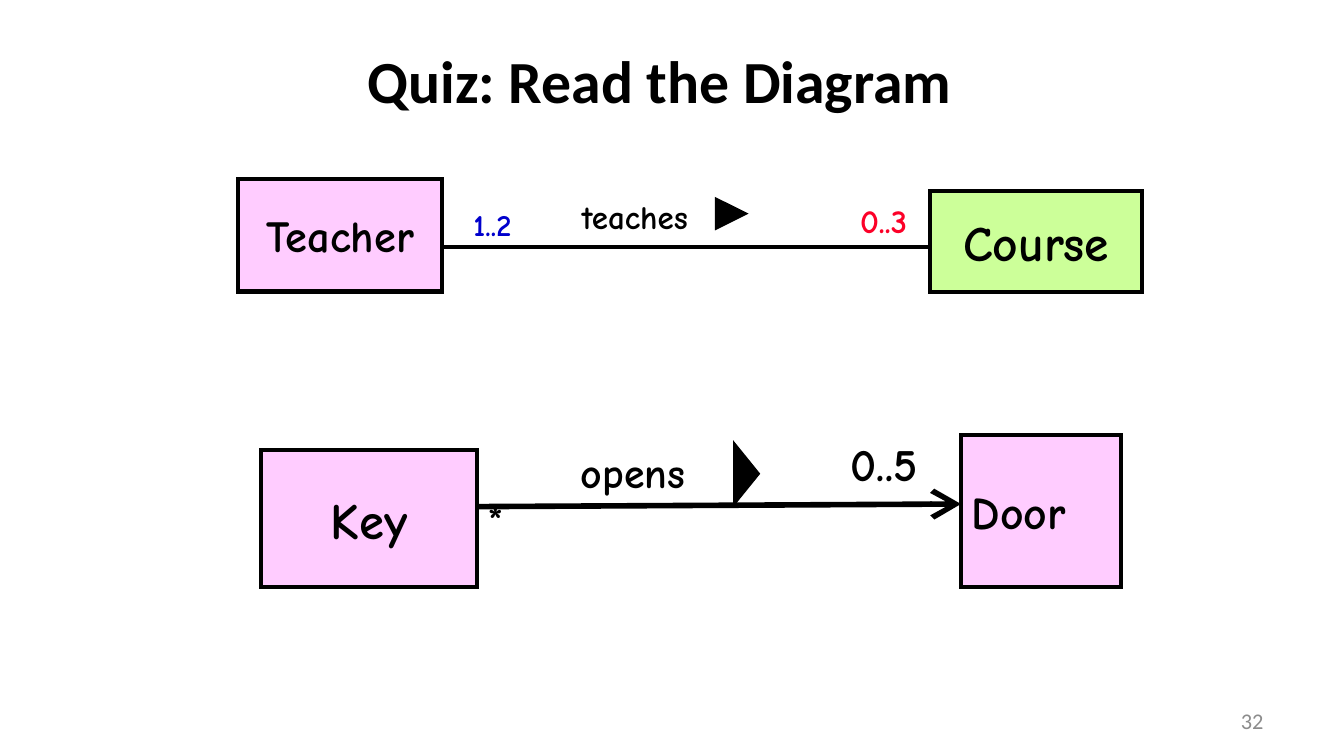
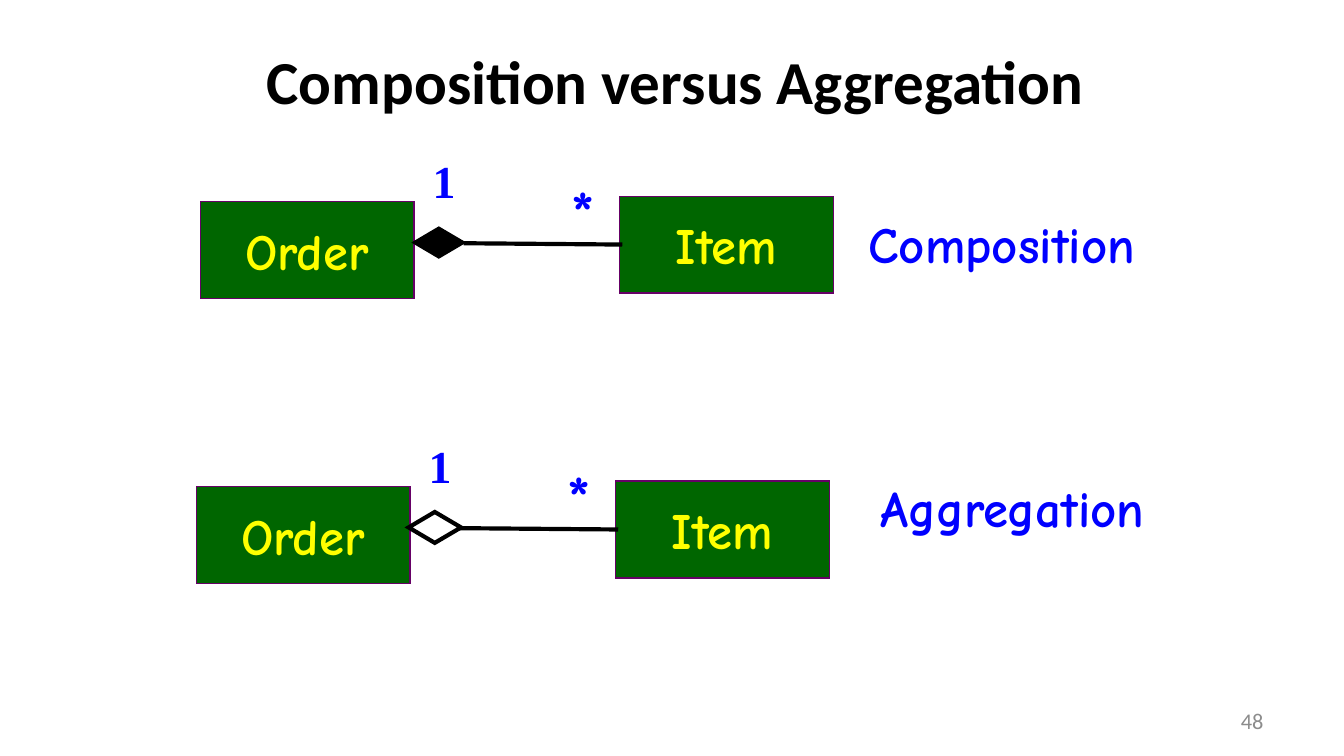
"""Build two UML slides: reading a class diagram, and composition versus aggregation."""
from dataclasses import dataclass, replace
from typing import Optional, Union

from lxml import etree
from pptx import Presentation
from pptx import util as u
from pptx.dml.color import RGBColor
from pptx.enum import shapes, text
from pptx.oxml import ns
from pptx.shapes import shapetree

EMU_PER_PX = 9144
SLIDE_WIDTH = 1000
BLACK = RGBColor(0x00, 0x00, 0x00)
WHITE = RGBColor(0xFF, 0xFF, 0xFF)
GREY = RGBColor(0x8C, 0x8C, 0x8C)
PINK = RGBColor(0xFF, 0xCC, 0xFF)
LIME = RGBColor(0xCC, 0xFF, 0x99)
RED = RGBColor(0xFC, 0x01, 0x28)
NAVY = RGBColor(0x00, 0x00, 0xCC)
BLUE = RGBColor(0x00, 0x00, 0xFF)
GREEN = RGBColor(0x00, 0x66, 0x00)
PURPLE = RGBColor(0x66, 0x00, 0x66)
YELLOW = RGBColor(0xFF, 0xFF, 0x00)
HEADING_FONT = "Calibri"
DIAGRAM_FONT = "Comic Neue"
NUMBER_FONT = "Times New Roman"
LEFT, CENTER, RIGHT = text.PP_ALIGN.LEFT, text.PP_ALIGN.CENTER, text.PP_ALIGN.RIGHT

Container = Union[shapetree.SlideShapes, shapetree.GroupShapes]
Frame = tuple[int, int, int, int]


@dataclass(frozen=True)
class Style:
    """Look and placement of one line of text."""
    size: float
    color: RGBColor = BLACK
    font: str = DIAGRAM_FONT
    bold: bool = True
    align: text.PP_ALIGN = LEFT
    inset: tuple[int, int] = (7, 4)
    wrap: bool = False
    space_before: float = 0
    line_spacing: Optional[float] = None
    baseline: int = 0


@dataclass(frozen=True)
class Node:
    """A filled preset shape, named when it stands for a class."""
    frame: Frame
    fill: RGBColor
    border: RGBColor = BLACK
    width: float = 2.25
    name: str = ""
    style: Style = Style(24)
    kind: shapes.MSO_SHAPE = shapes.MSO_SHAPE.RECTANGLE
    rotation: int = 0


@dataclass(frozen=True)
class Label:
    """Free text beside a diagram."""
    content: str
    frame: Frame
    style: Style


@dataclass(frozen=True)
class Link:
    """A straight line, with an arrowhead at its end if one is named."""
    ends: Frame
    width: float = 2.25
    head: str = ""
    head_size: str = "med"


def px(length: int) -> u.Emu:
    """Turn px into EMU."""
    return u.Emu(length * EMU_PER_PX)


def write(frame, content: str, style: Style) -> None:
    """Fill a text frame with one styled run."""
    frame.word_wrap = style.wrap
    frame.margin_left = frame.margin_right = px(style.inset[0])
    frame.margin_top = frame.margin_bottom = px(style.inset[1])
    paragraph = frame.paragraphs[0]
    paragraph.alignment = style.align
    if style.space_before:
        paragraph.space_before = u.Pt(style.space_before)
    if style.line_spacing:
        paragraph.line_spacing = style.line_spacing
    run = paragraph.add_run()
    run.text = content
    run.font.name = style.font
    run.font.size = u.Pt(style.size)
    run.font.bold = style.bold
    run.font.color.rgb = style.color
    if style.baseline:
        run.font._element.set("baseline", str(style.baseline * 1000))


def draw_node(container: Container, node: Node) -> None:
    """Draw a sharp-cornered shape and its name."""
    shape = container.add_shape(node.kind, *map(px, node.frame))
    shape.shadow.inherit = False
    shape.rotation = node.rotation
    shape.fill.solid()
    shape.fill.fore_color.rgb = node.fill
    shape.line.color.rgb = node.border
    shape.line.width = u.Pt(node.width)
    etree.SubElement(shape.line._ln, ns.qn("a:miter")).set("lim", "800000")
    if node.name:
        shape.text_frame.vertical_anchor = text.MSO_ANCHOR.MIDDLE
        write(shape.text_frame, node.name, node.style)


def draw_label(container: Container, label: Label) -> None:
    """Draw a text box that fits its text."""
    shape = container.add_textbox(*map(px, label.frame))
    write(shape.text_frame, label.content, label.style)
    shape.text_frame.auto_size = text.MSO_AUTO_SIZE.SHAPE_TO_FIT_TEXT


def draw_link(container: Container, link: Link) -> None:
    """Draw a black connector."""
    connector = container.add_connector(shapes.MSO_CONNECTOR.STRAIGHT, *map(px, link.ends))
    connector.line.color.rgb = BLACK
    connector.line.width = u.Pt(link.width)
    if link.head:
        tail = etree.SubElement(connector.line._ln, ns.qn("a:tailEnd"))
        tail.set("type", link.head)
        tail.set("w", link.head_size)
        tail.set("len", link.head_size)
    etree.SubElement(connector._element.spPr, ns.qn("a:effectLst"))


def draw(container: Container, *items: Union[Node, Label, Link]) -> None:
    """Draw items from back to front."""
    painters = {Node: draw_node, Label: draw_label, Link: draw_link}
    for item in items:
        painters[type(item)](container, item)


def add_titled_slide(presentation, title: str, frame: Frame, style: Style, number: int):
    """Add a slide with its title and page number."""
    slide = presentation.slides.add_slide(presentation.slide_layouts[5])
    shape = slide.shapes.title
    shape.left, shape.top, shape.width, shape.height = map(px, frame)
    shape.text_frame.vertical_anchor = text.MSO_ANCHOR.MIDDLE
    shape.text_frame.auto_size = text.MSO_AUTO_SIZE.NONE
    write(shape.text_frame, title, style)
    footer = slide.shapes.add_textbox(*map(px, (717, 521, 233, 30)))
    footer.text_frame.vertical_anchor = text.MSO_ANCHOR.MIDDLE
    write(footer.text_frame, str(number),
          Style(12, GREY, HEADING_FONT, False, RIGHT, (10, 5), True))
    return slide


def draw_quiz(container: Container) -> None:
    """Draw the two associations of the quiz."""
    centered = Style(23.8, align=CENTER)
    key_name = Style(27.2, align=CENTER, inset=(8, 4))
    bare = Style(24.5, inset=(0, 0))
    draw(
        container,
        Node((177, 133, 152, 84), PINK, name="Teacher", style=centered),
        Node((692, 142, 158, 75), LIME, name="Course", style=replace(centered, size=26.5)),
        Link((329, 184, 692, 184)),
        Label("teaches", (426, 142, 108, 37), Style(17.7)),
        Link((553, 159, 557, 159), 6, "triangle"),
        Label("0..3", (624, 145, 67, 37), Style(17.7, RED, align=CENTER)),
        Label("1..2", (335, 149, 63, 35), Style(16.3, NAVY, align=CENTER)),
        Node((194, 335, 161, 102), PINK, name="Key", style=key_name),
        Node((715, 324, 119, 113), PINK, name="Door", style=replace(bare, inset=(8, 4))),
        Link((354, 377, 715, 375), 3, "arrow", "lg"),
        Node((532, 343, 47, 19), BLACK, width=0.75,
             kind=shapes.MSO_SHAPE.ISOSCELES_TRIANGLE, rotation=90),
        Label("0..5", (633, 324, 72, 41), bare),
        Label("*", (363, 334, 18, 41), replace(bare, size=36.7, baseline=-25)),
        Label("opens", (432, 332, 122, 38), replace(bare, size=22.4, wrap=True)),
    )


def draw_order(container: Container, x: int, y: int, fill: RGBColor, border: float) -> None:
    """Draw an order that holds items, with its top left corner at x, y."""
    name = Style(27.2, YELLOW, align=CENTER, inset=(7, 3))
    one = Style(24.5, BLUE, NUMBER_FONT, inset=(7, 3), wrap=True, space_before=8.5)
    many = Style(32.7, BLUE, inset=(7, 3), wrap=True, space_before=13.6)
    draw(
        container,
        Label("1", (x + 166, y, 27, 48), one),
        Node((x, y + 39, 159, 72), GREEN, PURPLE, 0.75, "Order", name),
        Node((x + 312, y + 35, 159, 72), GREEN, PURPLE, 0.75, "Item", name),
        Node((x + 158, y + 58, 39, 23), fill, width=border, kind=shapes.MSO_SHAPE.DIAMOND),
        Link((x + 196, y + 70, x + 314, y + 71)),
        Label("*", (x + 269, y + 15, 27, 62), many),
    )


def main() -> None:
    """Build and save the presentation."""
    presentation = Presentation()
    presentation.slide_width = px(SLIDE_WIDTH)
    presentation.slide_height = u.Emu(px(SLIDE_WIDTH) * 9 // 16)
    heading = Style(32, font=HEADING_FONT, align=CENTER, inset=(10, 5), wrap=True)

    quiz = add_titled_slide(presentation, "Quiz: Read the Diagram",
                            (171, 13, 640, 93), heading, 32)
    draw_quiz(quiz.shapes)

    versus = add_titled_slide(presentation, "Composition versus Aggregation",
                              (154, 15, 697, 94),
                              replace(heading, size=32.7, line_spacing=0.94), 48)
    draw_order(versus.shapes, 149, 111, BLACK, 0.75)
    draw_order(versus.shapes.add_group_shape().shapes, 146, 323, WHITE, 2.25)
    caption = Style(27.2, BLUE, inset=(7, 3), wrap=True, space_before=10.2)
    draw(
        versus.shapes,
        Label("Composition", (639, 155, 228, 53), caption),
        Label("Aggregation", (648, 352, 252, 53), caption),
    )
    presentation.save("out.pptx")


if __name__ == "__main__":
    main()
